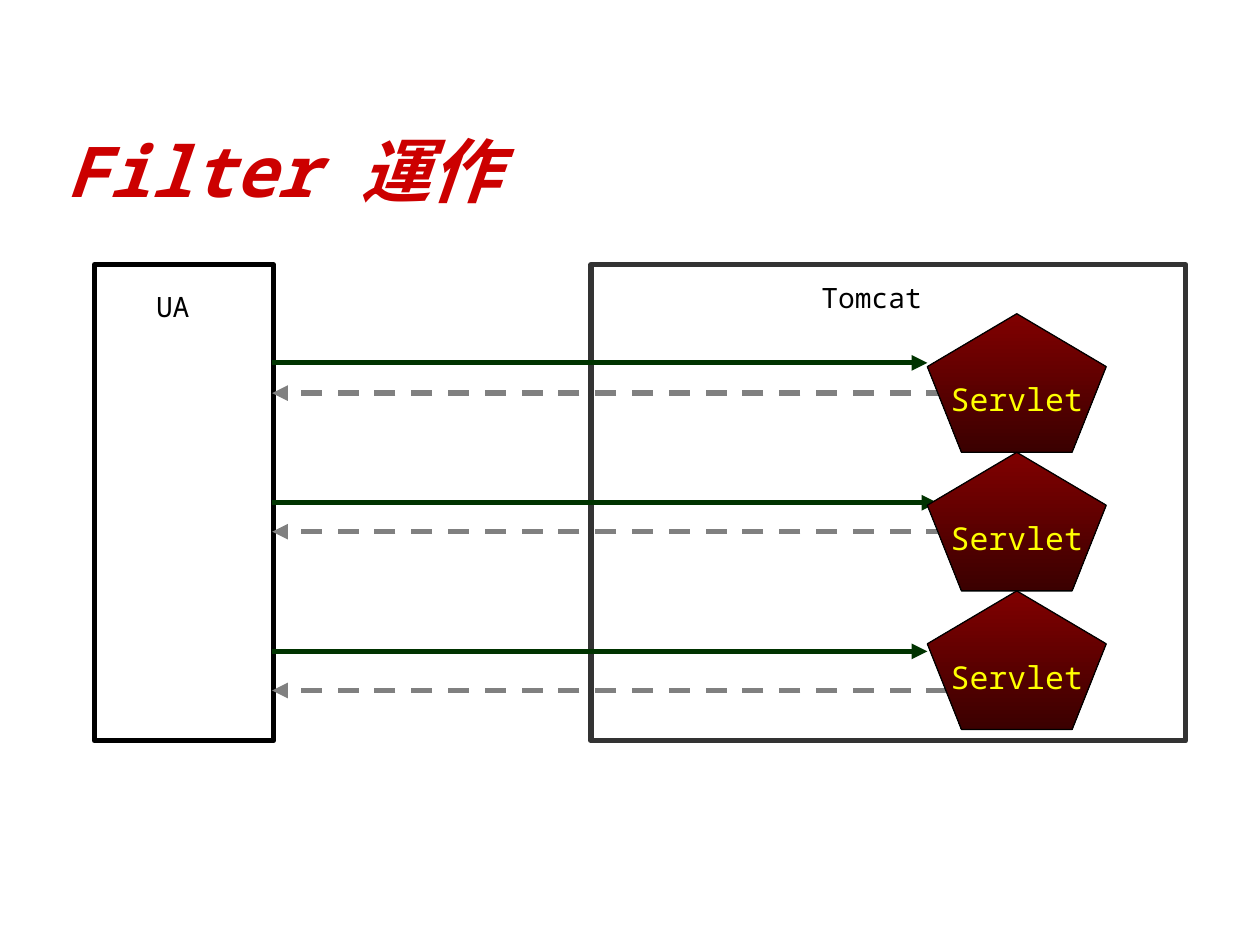
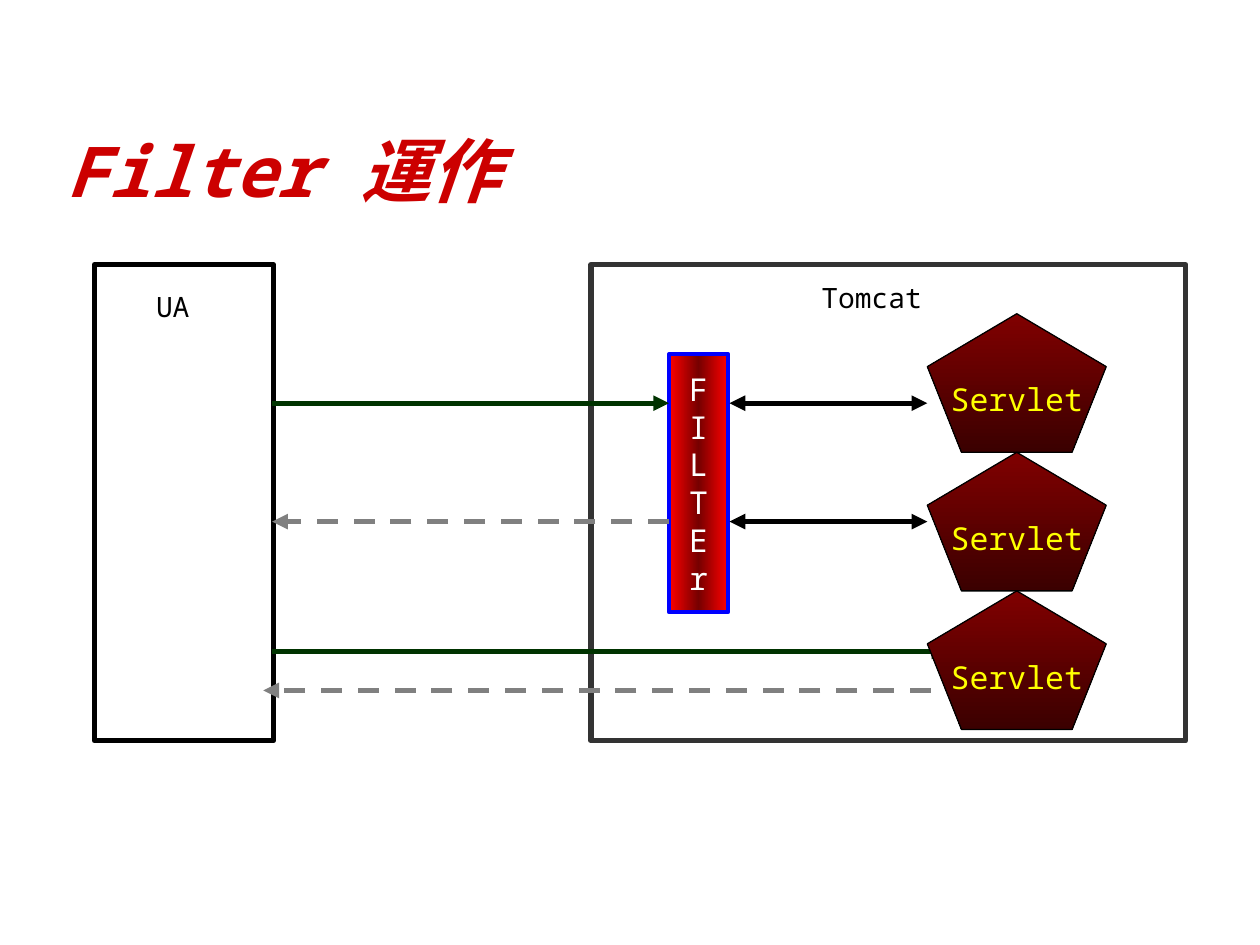
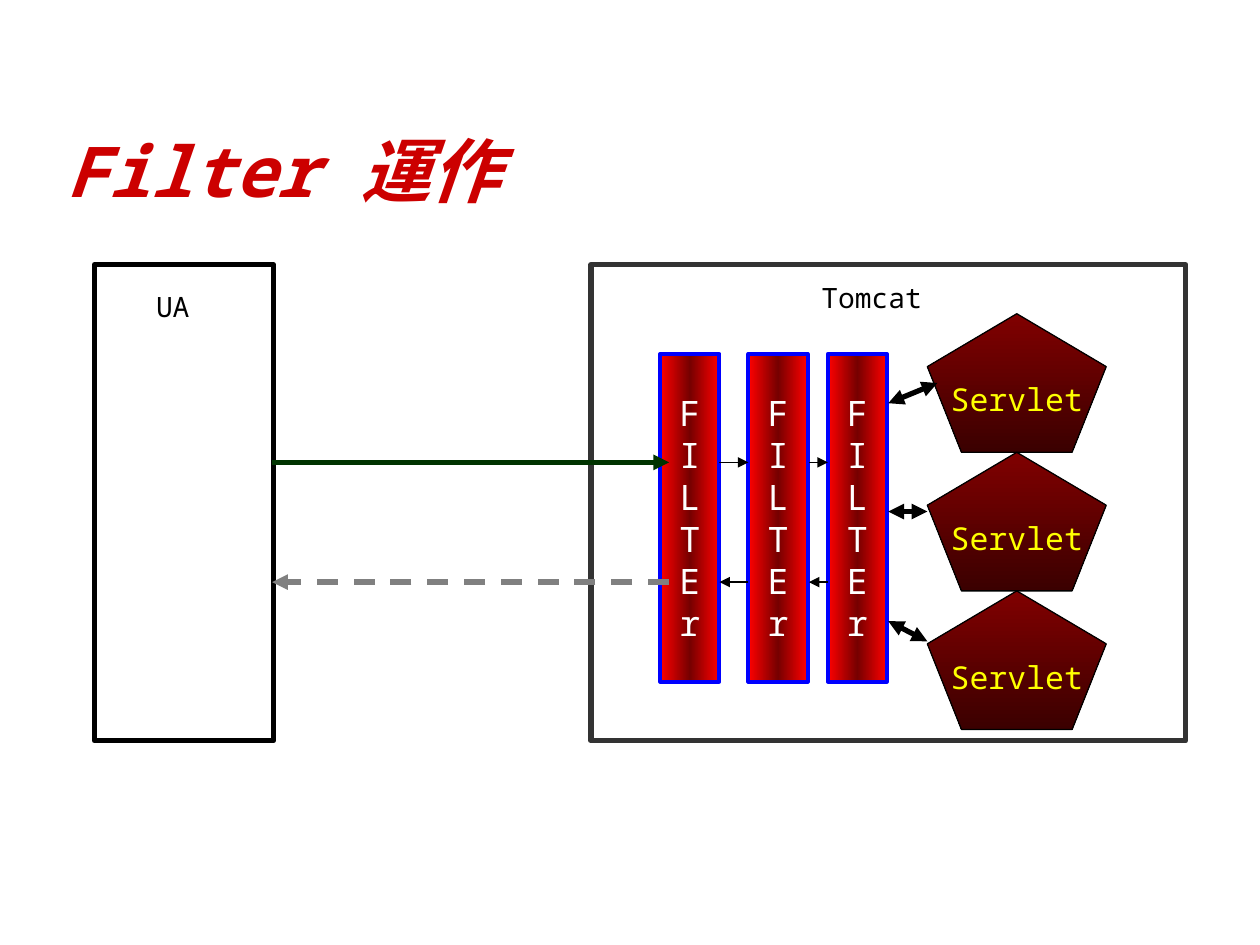
from copy import deepcopy
from dataclasses import dataclass

from pptx import Presentation
from pptx.dml.color import RGBColor
from pptx.enum import dml, shapes, text
from pptx.oxml import ns, xmlchemy
from pptx.util import Inches, Pt

FACE = "Noto Sans Mono"
RED = RGBColor(0xCC, 0x00, 0x00)
BLACK = RGBColor(0x00, 0x00, 0x00)
WHITE = RGBColor(0xFF, 0xFF, 0xFF)
YELLOW = RGBColor(0xFF, 0xFF, 0x00)
BLUE = RGBColor(0x00, 0x00, 0xFF)
GREEN = RGBColor(0x00, 0x33, 0x00)
GRAY = RGBColor(0x80, 0x80, 0x80)
COAL = RGBColor(0x33, 0x33, 0x33)
WINE = (RGBColor(0x80, 0x00, 0x00), RGBColor(0x3B, 0x00, 0x00))
FLAME = (RGBColor(0xFF, 0x00, 0x00), RGBColor(0x76, 0x00, 0x00), RGBColor(0xFF, 0x00, 0x00))

BOX = shapes.MSO_SHAPE.RECTANGLE
PENTA = shapes.MSO_SHAPE.REGULAR_PENTAGON
EDGE = 2.16
PORT = 7.36


@dataclass(frozen=True)
class Line:
    x1: float
    y1: float
    x2: float
    y2: float
    color: RGBColor = BLACK
    width: float = 3
    dash: bool = False
    both: bool = False


@dataclass(frozen=True)
class Filter:
    left: float
    height: float
    size: float


@dataclass(frozen=True)
class Scene:
    filters: tuple[Filter, ...]
    back: tuple[Line, ...]
    front: tuple[Line, ...]


def ask(y: float, end: float) -> Line:
    return Line(EDGE, y, end, y, GREEN)


def reply(y: float, start: float, end: float = EDGE) -> Line:
    return Line(start, y, end, y, GRAY, dash=True)


def link(x: float, y: float, end: float = PORT, drop: float = 0) -> Line:
    return Line(x, y, end, y + drop, both=True)


def hop(x: float, y: float, end: float) -> Line:
    return Line(x, y, end, y, width=0.75)


def write(shape, words: str, *, size: float, color: RGBColor, bold: bool = False,
          italic: bool = False, wrap: bool = False, align=text.PP_ALIGN.LEFT,
          anchor=text.MSO_ANCHOR.MIDDLE, fit=text.MSO_AUTO_SIZE.NONE) -> None:
    frame = shape.text_frame
    frame.text = words
    frame.word_wrap = wrap
    frame.auto_size = fit
    frame.vertical_anchor = anchor
    for para in frame.paragraphs:
        para.alignment = align
        for run in para.runs:
            font = run.font
            font.name, font.size, font.color.rgb = FACE, Pt(size), color
            font.bold, font.italic = bold, italic


def blend(shape, colors: tuple[RGBColor, ...], angle: float) -> None:
    fill = shape.fill
    fill.gradient()
    fill.gradient_angle = angle
    stops = shape._element.spPr.find(".//" + ns.qn("a:gsLst"))
    for _ in colors[2:]:
        stops.append(deepcopy(stops[0]))
    for i, (stop, color) in enumerate(zip(fill.gradient_stops, colors)):
        stop.position = i / (len(colors) - 1)
        stop.color.rgb = color


def block(slide, kind, left: float, top: float, width: float, height: float,
          color: RGBColor, weight: float):
    shape = slide.shapes.add_shape(
        kind, Inches(left), Inches(top), Inches(width), Inches(height))
    shape.shadow.inherit = False
    shape.fill.background()
    shape.line.color.rgb = color
    shape.line.width = Pt(weight)
    return shape


def label(slide, words: str, left: float, top: float, width: float) -> None:
    area = slide.shapes.add_textbox(Inches(left), Inches(top), Inches(width), Inches(0.5))
    write(area, words, size=16, color=BLACK, anchor=text.MSO_ANCHOR.TOP,
          fit=text.MSO_AUTO_SIZE.SHAPE_TO_FIT_TEXT)


def draw(slide, line: Line) -> None:
    wire = slide.shapes.add_connector(
        shapes.MSO_CONNECTOR.STRAIGHT, Inches(line.x1), Inches(line.y1),
        Inches(line.x2), Inches(line.y2))
    wire.line.color.rgb = line.color
    wire.line.width = Pt(line.width)
    if line.dash:
        wire.line.dash_style = dml.MSO_LINE.DASH
    pen = wire.line._get_or_add_ln()
    for tag in ("a:headEnd", "a:tailEnd") if line.both else ("a:tailEnd",):
        tip = xmlchemy.OxmlElement(tag)
        tip.set("type", "triangle")
        pen.append(tip)
    wire._element.spPr.append(xmlchemy.OxmlElement("a:effectLst"))


def stage(slide) -> None:
    title = slide.shapes.title
    title.left, title.top = Inches(0.43), Inches(0.91)
    title.width, title.height = Inches(9), Inches(0.87)
    write(title, "Filter 運作", size=40, color=RED, bold=True, italic=True, wrap=True)
    block(slide, BOX, 4.69, 2.1, 4.72, 3.78, COAL, 3)
    block(slide, BOX, 0.75, 2.1, 1.42, 3.78, BLACK, 3)
    label(slide, "UA", 1.14, 2.25, 0.57)
    label(slide, "Tomcat", 6.42, 2.18, 1.31)


def servlets(slide) -> None:
    for i in range(3):
        shape = block(slide, PENTA, PORT, 2.49 + 1.1 * i, 1.42, 1.1, BLACK, 0.75)
        blend(shape, WINE, 270)
        write(shape, "Servlet", size=18, color=YELLOW, align=text.PP_ALIGN.CENTER)


def gate(slide, item: Filter) -> None:
    shape = block(slide, BOX, item.left, 2.81, 0.47, item.height, BLUE, 2.25)
    blend(shape, FLAME, 0)
    write(shape, "\n".join("FILTEr"), size=item.size, color=WHITE,
          align=text.PP_ALIGN.CENTER)


SCENES = (
    Scene(
        filters=(),
        back=(ask(2.88, PORT), reply(3.12, 7.52),
              ask(5.17, PORT), reply(5.48, 7.52),
              ask(3.99, 7.44), reply(4.22, 7.52)),
        front=(),
    ),
    Scene(
        filters=(Filter(5.31, 2.05, 18),),
        back=(ask(3.2, 5.31), reply(4.14, 5.31),
              ask(5.17, 7.52), reply(5.48, 7.68, 2.09)),
        front=(link(5.79, 4.14), link(5.79, 3.2)),
    ),
    Scene(
        filters=tuple(Filter(x, 2.6, 20) for x in (6.57, 5.94, 5.24)),
        back=(),
        front=(ask(3.67, 5.31), reply(4.62, 5.31),
               link(7.05, 3.2, 7.44, -0.16), link(7.05, 4.06), link(7.05, 4.93, drop=0.16),
               hop(5.71, 3.67, 5.94), hop(6.42, 3.67, 6.57),
               hop(6.57, 4.62, 6.42), hop(5.94, 4.62, 5.71)),
    ),
)


def main() -> None:
    deck = Presentation()
    deck.slide_width, deck.slide_height = Inches(10), Inches(7.5)
    for scene in SCENES:
        slide = deck.slides.add_slide(deck.slide_layouts[5])
        stage(slide)
        for item in scene.filters:
            gate(slide, item)
        for line in scene.back:
            draw(slide, line)
        servlets(slide)
        for line in scene.front:
            draw(slide, line)
    deck.save("out.pptx")


if __name__ == "__main__":
    main()
